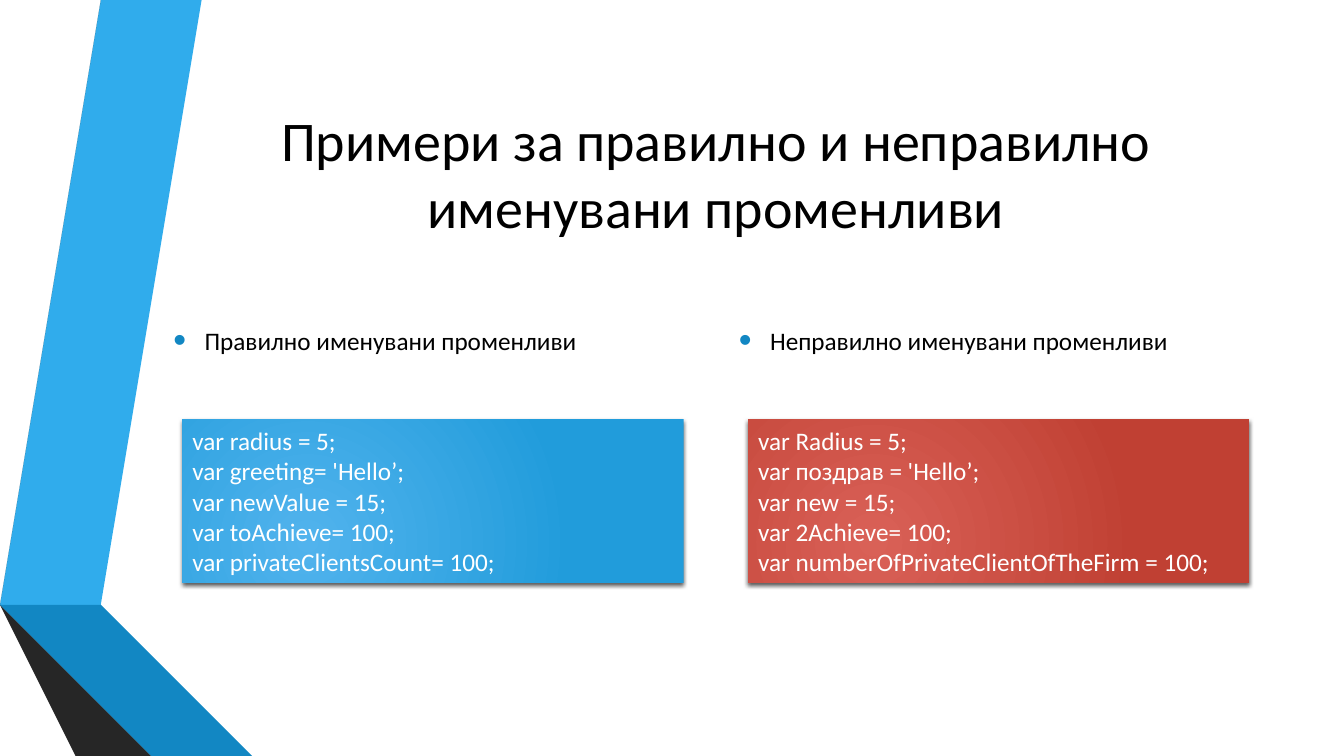
from pptx import Presentation
from pptx.dml.color import RGBColor
from pptx.enum.shapes import MSO_SHAPE
from pptx.enum.text import MSO_ANCHOR, PP_ALIGN
from pptx.oxml import parse_xml
from pptx.oxml.ns import nsdecls, qn
from pptx.util import Inches, Pt

RECT = MSO_SHAPE.RECTANGLE
MIDDLE = MSO_ANCHOR.MIDDLE
LEFT, CENTER = PP_ALIGN.LEFT, PP_ALIGN.CENTER

COLORS = {
    "text": "000000", "code": "FFFFFF", "bullet": "1287C3",
    "sky": "30ACEC", "blue": "1287C3", "navy": "0C5A82",
    "gray": "595959", "dark": "404040", "black": "262626",
    "good_in": "51B3ED", "good_out": "219CDB",
    "bad_in": "D96157", "bad_out": "C04033",
}

RIBBONS = [
    ("sky", [(0.5, 5.78), (0.77, 5.83), (1.73, 0), (1.45, 0)]),
    ("gray", [(1.39, 0), (1.11, 0), (0.16, 5.73), (0.44, 5.77)]),
    ("black", [(0.16, 5.73), (1.45, 7.5), (1.51, 7.5)]),
    ("navy", [(0.5, 5.79), (2.08, 7.5), (2.14, 7.5)]),
    ("blue", [(0.5, 5.78), (2.14, 7.5), (2.83, 7.5), (0.77, 5.83)]),
    ("dark", [(2.02, 7.5), (0.48, 5.83), (0.44, 5.77), (0.16, 5.73), (1.51, 7.5)]),
]

COLUMNS = [
    (1.62, "Правилно именувани променливи", "good", [
        "var radius = 5;",
        "var greeting= 'Hello’;",
        "var newValue = 15;",
        "var toAchieve= 100;",
        "var privateClientsCount= 100;",
    ]),
    (7.23, "Неправилно именувани променливи", "bad", [
        "var Radius = 5;",
        "var поздрав = 'Hello’;",
        "var new = 15;",
        "var 2Achieve= 100;",
        "var numberOfPrivateClientOfTheFirm = 100;",
    ]),
]


def rgb(name):
    return RGBColor.from_string(COLORS[name])


class SlideBuilder:
    font = "Calibri"

    def __init__(self, slide):
        self.s = slide

    def set_text(self, tf, text, size, color, align=LEFT):
        tf.word_wrap = True
        tf.text = text
        for p in tf.paragraphs:
            p.alignment = align
            for r in p.runs:
                r.font.name = self.font
                r.font.size = Pt(size)
                r.font.color.rgb = rgb(color)

    def title(self, text, left, top, width, height):
        sp = self.s.shapes.title
        sp.left, sp.top = Inches(left), Inches(top)
        sp.width, sp.height = Inches(width), Inches(height)
        sp.text_frame.vertical_anchor = MIDDLE
        self.set_text(sp.text_frame, text, 40, "text", CENTER)

    def ribbon(self, color, points):
        builder = self.s.shapes.build_freeform(*points[0], scale=Inches(1))
        builder.add_line_segments(points[1:], close=True)
        sp = builder.convert_to_shape()
        sp.shadow.inherit = False
        sp.fill.solid()
        sp.fill.fore_color.rgb = rgb(color)
        sp.line.fill.background()

    def bullet(self, text, left, top, width, height):
        sp = self.s.shapes.add_textbox(
            Inches(left), Inches(top), Inches(width), Inches(height))
        tf = sp.text_frame
        tf.vertical_anchor = MIDDLE
        self.set_text(tf, text, 18, "text")
        p = tf.paragraphs[0]
        p.space_before, p.space_after = Pt(3.6), Pt(6)
        pPr = p._p.get_or_add_pPr()
        pPr.set("marL", str(Inches(0.31)))
        pPr.set("indent", str(-Inches(0.31)))
        for xml in (
            f'<a:buClr {nsdecls("a")}><a:srgbClr val="{COLORS["bullet"]}"/></a:buClr>',
            f'<a:buSzPct {nsdecls("a")} val="145000"/>',
            f'<a:buFont {nsdecls("a")} typeface="Arial"/>',
            f'<a:buChar {nsdecls("a")} char="•"/>',
        ):
            pPr.append(parse_xml(xml))

    def code_box(self, lines, tone, left, top, width, height):
        sp = self.s.shapes.add_shape(
            RECT, Inches(left), Inches(top), Inches(width), Inches(height))
        sp.line.fill.background()
        self.radial_fill(sp, f"{tone}_in", f"{tone}_out")
        self.drop_shadow(sp)
        self.set_text(sp.text_frame, "\n".join(lines), 18, "code")

    def radial_fill(self, sp, inner, outer):
        """Turn a two-stop linear gradient into a circular one."""
        sp.fill.gradient()
        for stop, color in zip(sp.fill.gradient_stops, (inner, outer)):
            stop.color.rgb = rgb(color)
        grad = sp._element.spPr.find(qn("a:gradFill"))
        grad.replace(grad.find(qn("a:lin")), parse_xml(
            f'<a:path {nsdecls("a")} path="circle"><a:fillToRect l="50000" '
            't="100000" r="100000" b="50000"/></a:path>'))

    def drop_shadow(self, sp):
        sp.shadow.inherit = False
        sp._element.spPr.find(qn("a:effectLst")).append(parse_xml(
            f'<a:outerShdw {nsdecls("a")} blurRad="{Pt(3)}" dist="{Pt(2)}" '
            'dir="5400000" rotWithShape="0"><a:srgbClr val="000000">'
            '<a:alpha val="64000"/></a:srgbClr></a:outerShdw>'))


def main():
    prs = Presentation()
    prs.slide_width, prs.slide_height = Inches(13.33), Inches(7.5)
    b = SlideBuilder(prs.slides.add_slide(prs.slide_layouts[5]))
    for color, points in RIBBONS:
        b.ribbon(color, points)
    b.title("Примери за правилно и неправилно именувани променливи",
            1.62, 0.75, 10.96, 1.92)
    for left, heading, tone, lines in COLUMNS:
        b.bullet(heading, left, 2.92, 5.35, 0.91)
        b.code_box(lines, tone, left + 0.19, 4.16, 4.97, 1.62)
    prs.save("out.pptx")


if __name__ == "__main__":
    main()
